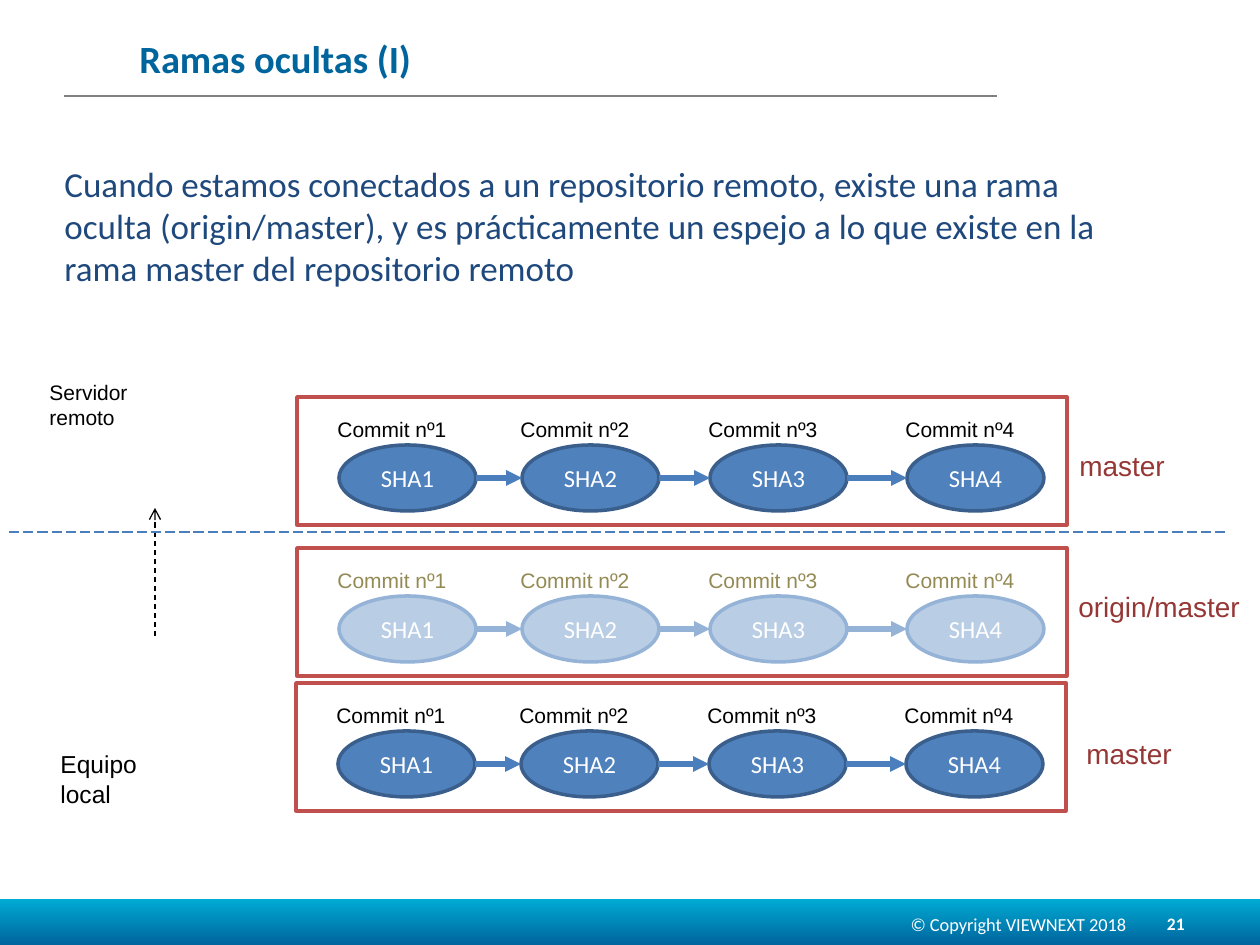
from lxml import etree
from pptx import Presentation
from pptx import util as u
from pptx.dml.color import RGBColor
from pptx.enum import dml, shapes, text
from pptx.oxml import ns

WHITE = RGBColor(0xFF, 0xFF, 0xFF)
BLACK = RGBColor(0, 0, 0)
GRAY = RGBColor(0x80, 0x80, 0x80)
TEAL = RGBColor(0x00, 0x64, 0x9D)
CYAN = RGBColor(0x00, 0xAB, 0xD4)
NAVY = RGBColor(0x1F, 0x49, 0x7D)
BLUE = RGBColor(0x4F, 0x81, 0xBD)
EDGE = RGBColor(0x3A, 0x5F, 0x8C)
LINK = RGBColor(0x4B, 0x7E, 0xBC)
PALE = RGBColor(0xB9, 0xCD, 0xE5)
MIST = RGBColor(0x95, 0xB3, 0xD7)
KHAKI = RGBColor(0x94, 0x8A, 0x54)
RED = RGBColor(0xC0, 0x50, 0x4D)
WINE = RGBColor(0x95, 0x37, 0x35)

LEFT, MID, RIGHT = text.PP_ALIGN.LEFT, text.PP_ALIGN.CENTER, text.PP_ALIGN.RIGHT
DASH = dml.MSO_LINE


def px(n):
    return u.Emu(round(n * 914400 / 126))


class Deck:
    sans = "Arial"
    head = "Calibri"

    def __init__(self):
        self.file = Presentation()
        self.file.slide_width, self.file.slide_height = px(1260), px(945)
        self.slide = self.file.slides.add_slide(self.file.slide_layouts[6])

    def words(self, frame, lines, size, color, font, align=LEFT, bold=False):
        for i, line in enumerate(lines):
            para = frame.paragraphs[0] if i == 0 else frame.add_paragraph()
            para.alignment = align
            run = para.add_run()
            run.text = line
            run.font.size = u.Pt(size)
            run.font.name = font
            run.font.bold = bold
            run.font.color.rgb = color

    def label(self, box, lines, size, color, font=sans, align=LEFT,
              bold=False, middle=False, wrap=True):
        frame = self.slide.shapes.add_textbox(*map(px, box)).text_frame
        frame.word_wrap = wrap
        if middle:
            frame.vertical_anchor = text.MSO_ANCHOR.MIDDLE
        self.words(frame, lines, size, color, font, align, bold)

    def shape(self, kind, box, fill=None, edge=None):
        item = self.slide.shapes.add_shape(kind, *map(px, box))
        item.shadow.inherit = False
        if fill is None:
            item.fill.background()
        else:
            item.fill.solid()
            item.fill.fore_color.rgb = fill
        if edge is None:
            item.line.fill.background()
        else:
            item.line.color.rgb = edge
            item.line.width = u.Pt(2)
        return item

    def band(self, box, low, high):
        fill = self.shape(shapes.MSO_SHAPE.RECTANGLE, box).fill
        fill.gradient()
        fill.gradient_angle = 90
        for stop, color, place in zip(fill.gradient_stops, (low, high), (0, 1)):
            stop.color.rgb = color
            stop.position = place

    def node(self, box, name, fill, edge):
        item = self.shape(shapes.MSO_SHAPE.OVAL, box, fill, edge)
        item.text_frame.vertical_anchor = text.MSO_ANCHOR.MIDDLE
        self.words(item.text_frame, [name], 14, WHITE, self.head, MID)

    def line(self, ends, color, width=0.75, dash=None, tip=None):
        item = self.slide.shapes.add_connector(
            shapes.MSO_CONNECTOR.STRAIGHT, *map(px, ends))
        item.line.color.rgb = color
        item.line.width = u.Pt(width)
        if dash:
            item.line.dash_style = dash
        spPr = item._element.spPr
        if tip:
            mark = etree.SubElement(spPr.find(ns.qn("a:ln")), ns.qn("a:tailEnd"))
            mark.set("type", tip)
        etree.SubElement(spPr, ns.qn("a:effectLst"))

    def branch(self, left, top, fill, edge, link, ink):
        wide, tall = 137, 66
        spots = [left + step for step in (42, 225, 413, 610)]
        for i, x in enumerate(spots, 1):
            self.node((x, top + 48, wide, tall), f"SHA{i}", fill, edge)
            self.label((x - 14, top + 13, 156, 38), [f"Commit nº{i}"], 12, ink)
        y = top + 48 + tall // 2
        for x, end in zip(spots, spots[1:]):
            self.line((x + wide, y, end, y), link, 3, tip="triangle")
        self.shape(shapes.MSO_SHAPE.RECTANGLE, (left, top, 770, 128), edge=RED)


def main():
    deck = Deck()
    deck.band((0, 899, 1260, 46), TEAL, CYAN)
    deck.line((64, 96, 997, 96), GRAY)
    deck.label((819, 899, 399, 50), ["© Copyright VIEWNEXT 2018"], 10.5, WHITE,
               deck.head, MID, middle=True)
    deck.label((64, 27, 989, 63), ["\tRamas ocultas (I)"], 22, TEAL,
               deck.head, bold=True, middle=True)
    deck.label((903, 899, 294, 50), ["21"], 10, WHITE, deck.head, RIGHT,
               bold=True, middle=True)
    deck.label((52, 156, 1105, 197), [
        "Cuando estamos conectados a un repositorio remoto, existe una rama "
        "oculta (origin/master), y es prácticamente un espejo a lo que existe "
        "en la rama master del repositorio remoto"], 20, NAVY, deck.head)

    deck.label((37, 373, 146, 63), ["Servidor", "remoto"], 12, BLACK)
    deck.label((48, 743, 122, 72), ["Equipo", "local"], 14, BLACK)
    deck.line((155, 636, 155, 508), BLACK, dash=DASH.DASH, tip="arrow")
    deck.line((9, 532, 1225, 532), LINK, dash=DASH.LONG_DASH)

    solid = (BLUE, EDGE, LINK, BLACK)
    faint = (PALE, MIST, MIST, KHAKI)
    rows = [
        (297, 397, solid, "master", (1067, 442, 112, 47)),
        (297, 548, faint, "origin/master", (1066, 583, 189, 47)),
        (296, 683, solid, "master", (1074, 730, 112, 47)),
    ]
    for left, top, look, name, box in rows:
        deck.branch(left, top, *look)
        deck.label(box, [name], 16, WINE, wrap=False)

    deck.file.save("out.pptx")


if __name__ == "__main__":
    main()
